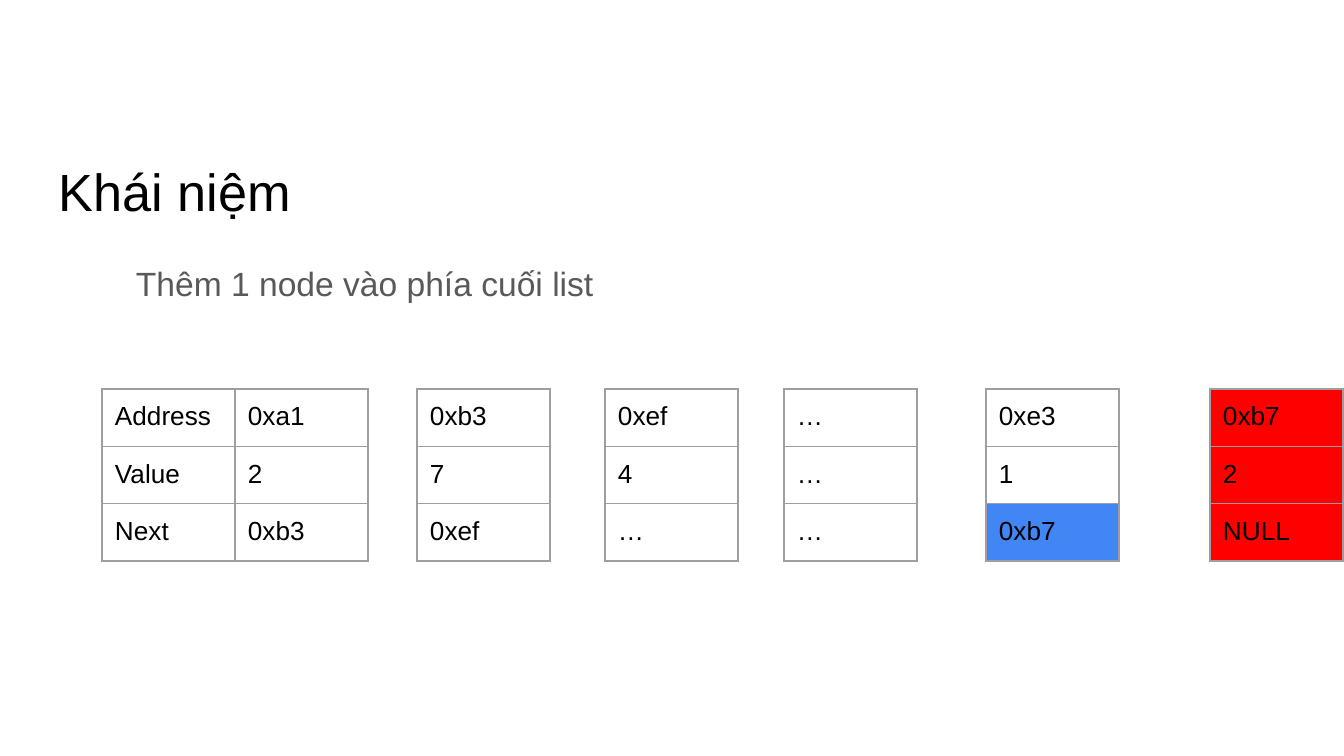
from dataclasses import dataclass

from lxml.etree import SubElement
from pptx import Presentation
from pptx.dml.color import RGBColor
from pptx.enum.text import MSO_ANCHOR
from pptx.oxml.ns import qn
from pptx.util import Pt


@dataclass(frozen=True)
class Theme:
    font: str = "Arial"
    ink: str = "000000"
    muted: str = "595959"
    grid: str = "9E9E9E"
    changed: str = "4285F4"
    added: str = "FF0000"
    title: int = 28
    body: int = 18
    cell: int = 14
    grid_pt: float = 0.75


T = Theme()
W, H = 1344, 756
INSET = 13
COL_W, ROW_H = 133, 56


def px(n):
    return round(n * 914400 / 134.4)


def set_text(tf, text, size, color):
    p = tf.paragraphs[0]
    r = p.add_run()
    r.text = text
    for name, value in {"name": T.font, "size": Pt(size)}.items():
        setattr(r.font, name, value)
    r.font.color.rgb = RGBColor.from_string(color)


def add_text(s, box, text, size, color, anchor):
    tf = s.shapes.add_textbox(*map(px, box)).text_frame
    layout = {"word_wrap": True, "vertical_anchor": anchor}
    layout.update((f"margin_{side}", px(INSET))
                  for side in ("left", "right", "top", "bottom"))
    for name, value in layout.items():
        setattr(tf, name, value)
    set_text(tf, text, size, color)


def set_borders(cell):
    tc_pr = cell._tc.get_or_add_tcPr()
    for i, side in enumerate(("lnL", "lnR", "lnT", "lnB")):
        ln = tc_pr.makeelement(qn(f"a:{side}"), {"w": str(Pt(T.grid_pt))})
        fill = SubElement(ln, qn("a:solidFill"))
        SubElement(fill, qn("a:srgbClr"), val=T.grid)
        tc_pr.insert(i, ln)  # borders come before the fill


def add_node(s, x, y, columns, fills):
    """One list node: each column holds address, value and next."""
    rows, cols = len(columns[0]), len(columns)
    box = (x, y, cols * COL_W, rows * ROW_H)
    table = s.shapes.add_table(rows, cols, *map(px, box)).table
    for name in ("first_row", "horz_banding"):
        setattr(table, name, False)
    for row in table.rows:
        row.height = px(ROW_H)
    for c, column in enumerate(columns):
        table.columns[c].width = px(COL_W)
        for r, text in enumerate(column):
            cell = table.cell(r, c)
            for side in ("left", "right", "top", "bottom"):
                setattr(cell, f"margin_{side}", px(INSET))
            set_text(cell.text_frame, text, T.cell, T.ink)
            if r in fills:
                cell.fill.solid()
                cell.fill.fore_color.rgb = RGBColor.from_string(fills[r])
            else:
                cell.fill.background()
            set_borders(cell)


def add_heading(s, x, y):
    add_text(s, (x, y, 1253, 126), "Khái niệm", T.title, T.ink,
             MSO_ANCHOR.BOTTOM)
    add_text(s, (x + 77, y + 141, 516, 52), "Thêm 1 node vào phía cuối list",
             T.body, T.muted, MSO_ANCHOR.TOP)


def add_list(s, x, y):
    # Offset from the list's left edge, columns, fill by row
    nodes = [
        (0, [("Address", "Value", "Next"), ("0xa1", "2", "0xb3")], {}),
        (315, [("0xb3", "7", "0xef")], {}),
        (503, [("0xef", "4", "…")], {}),
        (682, [("…", "…", "…")], {}),
        (884, [("0xe3", "1", "0xb7")], {2: T.changed}),
        (1108, [("0xb7", "2", "NULL")], dict.fromkeys(range(3), T.added)),
    ]
    for dx, columns, fills in nodes:
        add_node(s, x + dx, y, columns, fills)


def main():
    prs = Presentation()
    prs.slide_width, prs.slide_height = px(W), px(H)
    s = prs.slides.add_slide(prs.slide_layouts[6])
    add_heading(s, 46, 109)
    add_list(s, 102, 389)
    prs.save("out.pptx")


if __name__ == "__main__":
    main()
